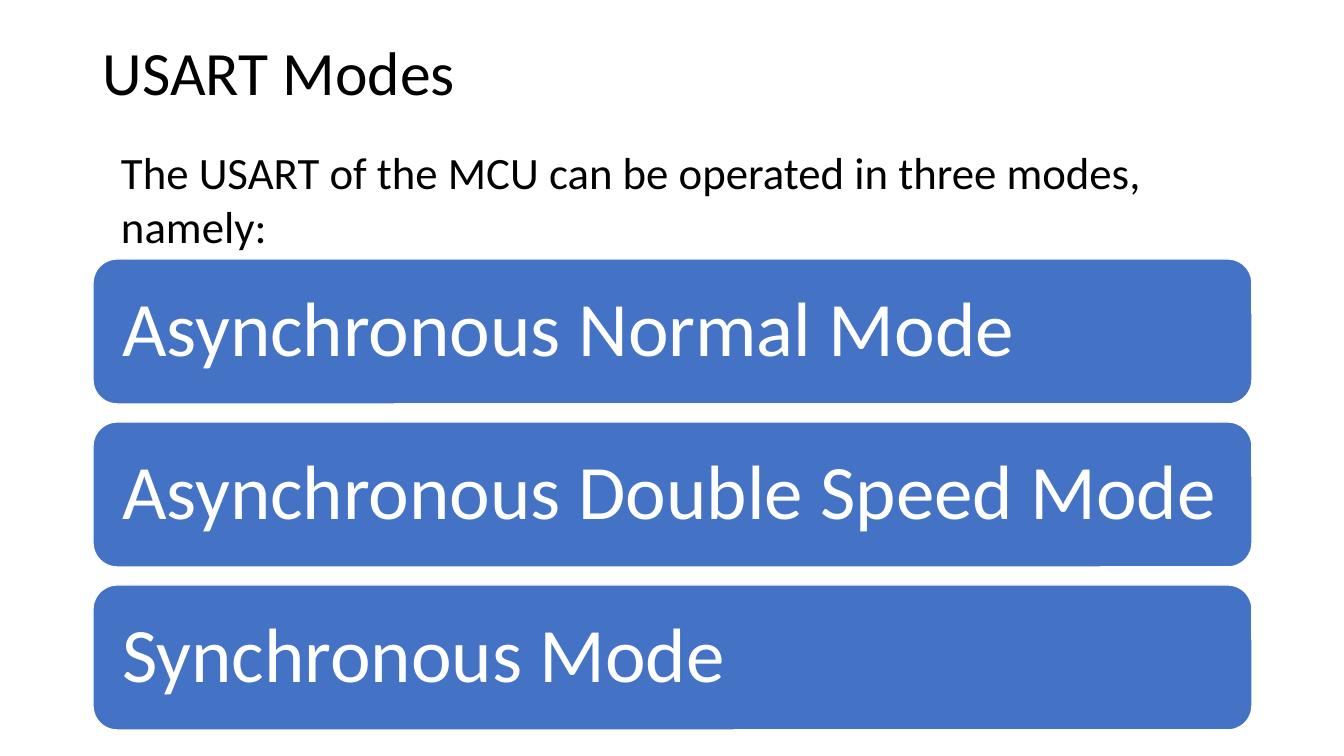
"""Build the USART modes slide."""
import pptx
import pptx.util
import pptx.dml.color
import pptx.enum.shapes
import pptx.enum.text

PX = 9525 * 96 / 100.8


def paint(text):
    return pptx.dml.color.RGBColor.from_string(text)


def write(shape, text, size, color="000000", pad=(10, 5, 10, 5), space=1.0, middle=False):
    frame = shape.text_frame
    frame.word_wrap = True
    left, top, right, low = [round(n * PX) for n in pad]
    frame.margin_left, frame.margin_top = left, top
    frame.margin_right, frame.margin_bottom = right, low
    anchor = pptx.enum.text.MSO_ANCHOR
    frame.vertical_anchor = anchor.MIDDLE if middle else anchor.TOP
    para = frame.paragraphs[0]
    para.alignment = pptx.enum.text.PP_ALIGN.LEFT
    para.line_spacing = space
    run = para.add_run()
    run.text = text
    run.font.name = "Calibri"
    run.font.size = pptx.util.Pt(size)
    run.font.color.rgb = paint(color)


deck = pptx.Presentation()
deck.slide_width = round(1344 * PX)
deck.slide_height = round(756 * PX)
slide = deck.slides.add_slide(deck.slide_layouts[6])

title = slide.shapes.add_textbox(*[round(n * PX) for n in (93, 40, 1159, 146)])
write(title, "USART Modes", 44, pad=(10, 5, 10, 79), space=0.9, middle=True)

modes = ["Asynchronous Normal Mode", "Asynchronous Double Speed Mode", "Synchronous Mode"]
for i, mode in enumerate(modes):
    box = [round(n * PX) for n in (93, 259 + 163 * i, 1159, 145)]
    card = slide.shapes.add_shape(pptx.enum.shapes.MSO_SHAPE.ROUNDED_RECTANGLE, *box)
    card.shadow.inherit = False
    card.fill.solid()
    card.fill.fore_color.rgb = paint("4472C4")
    card.line.color.rgb = paint("FFFFFF")
    card.line.width = pptx.util.Pt(1)
    write(card, mode, 55, "FFFFFF", pad=(22, 20, 10, 20), space=0.9, middle=True)

intro = slide.shapes.add_textbox(*[round(n * PX) for n in (111, 140, 1176, 119)])
write(intro, "The USART of the MCU can be operated in three modes, namely:", 32)

deck.save("out.pptx")
